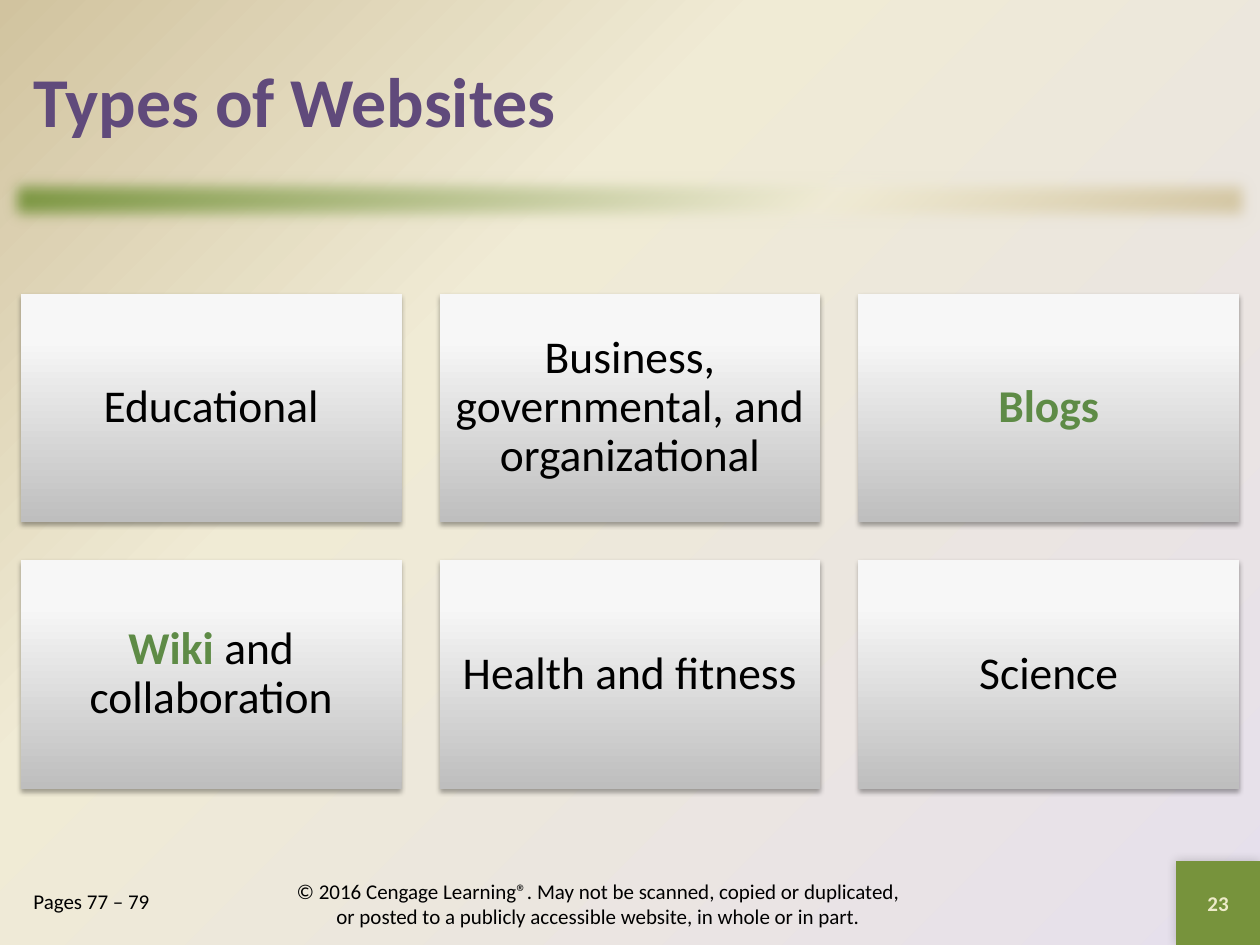
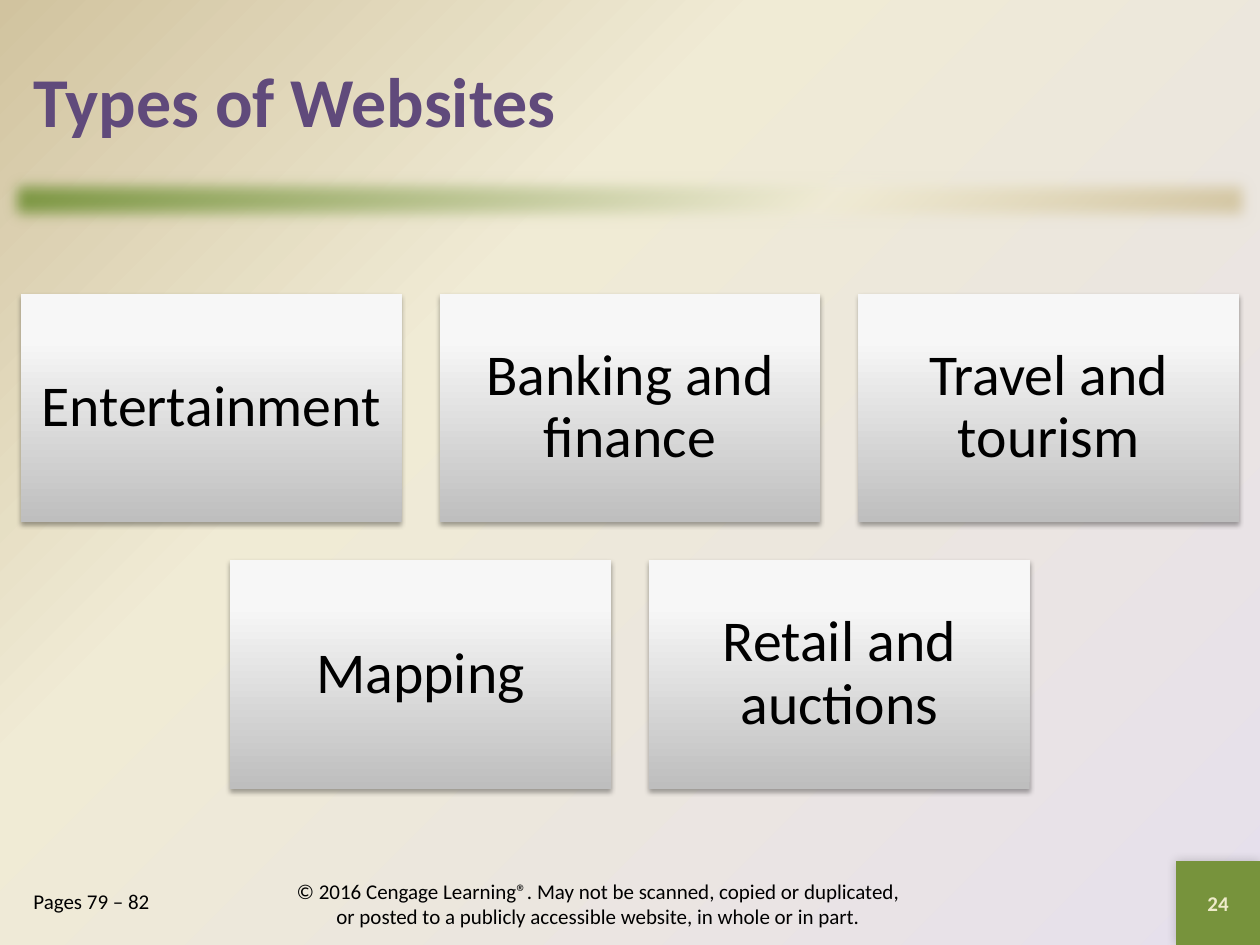
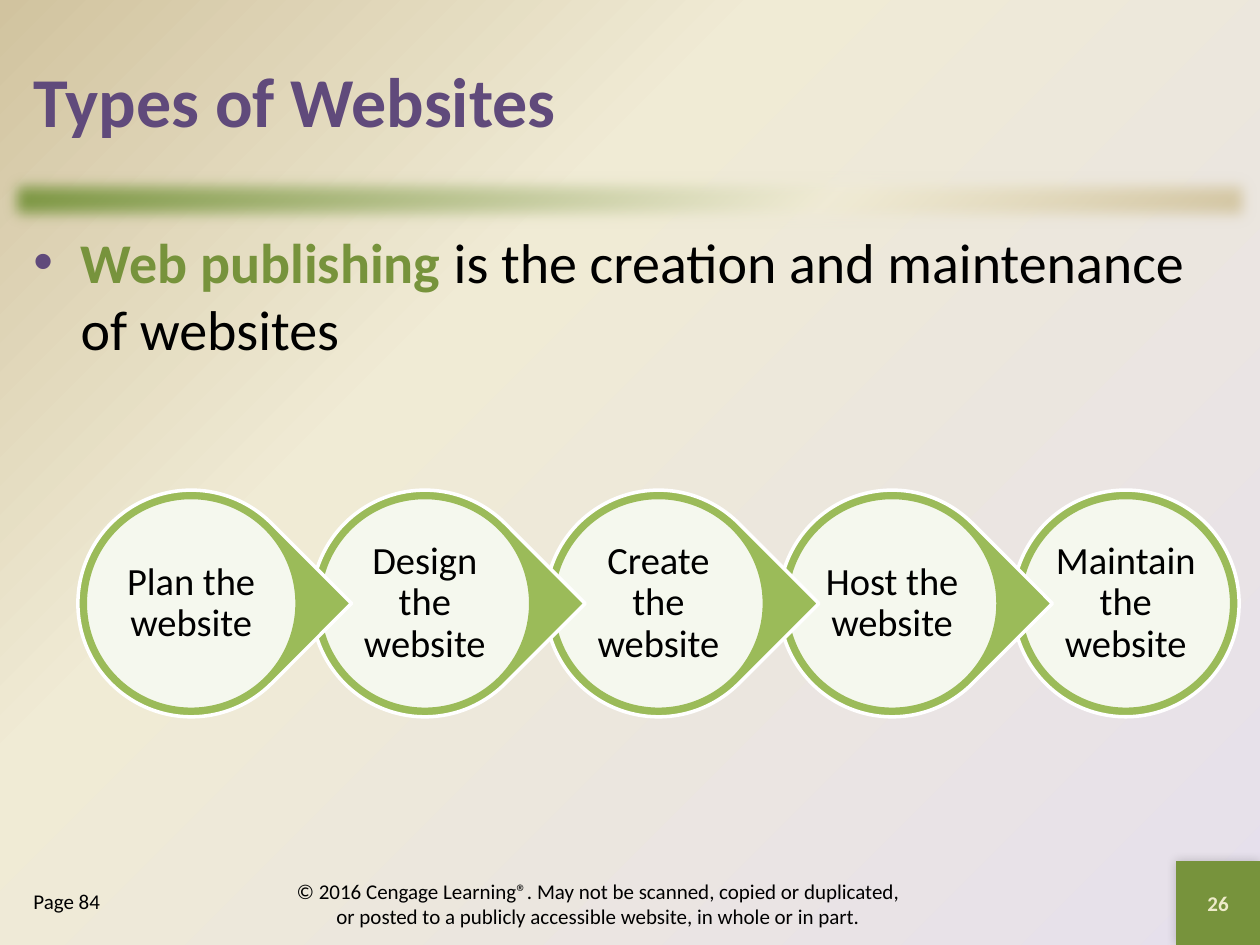
import pptx
import pptx.util
import pptx.dml.color
import pptx.enum.shapes
import pptx.enum.text
import pptx.oxml.ns
import lxml.etree

Cm = pptx.util.Cm
Pt = pptx.util.Pt
RGBColor = pptx.dml.color.RGBColor
SHAPE = pptx.enum.shapes.MSO_SHAPE
ALIGN = pptx.enum.text.PP_ALIGN
ANCHOR = pptx.enum.text.MSO_ANCHOR
qn = pptx.oxml.ns.qn

BLACK = RGBColor(0x00, 0x00, 0x00)
WHITE = RGBColor(0xFF, 0xFF, 0xFF)
PURPLE = RGBColor(0x60, 0x4A, 0x7B)
LILAC = RGBColor(0xE6, 0xE0, 0xEC)
CREAM = RGBColor(0xF0, 0xEB, 0xD5)
SAND = RGBColor(0xD1, 0xC3, 0x9F)
OLIVE = RGBColor(0x77, 0x93, 0x3C)
LEAF = RGBColor(0x5E, 0x8B, 0x46)
LIME = RGBColor(0x9B, 0xBB, 0x59)
PALE = RGBColor(0xEE, 0xEB, 0xCA)
GREY = RGBColor(0xBE, 0xBE, 0xBE)
MIST = RGBColor(0xF7, 0xF7, 0xF7)
SNOW = RGBColor(0xF8, 0xF8, 0xF8)

FONT = "Calibri"
WIDE, HIGH = 25.4, 19.05
EDGE = 0.42
SPAN = WIDE - 2 * EDGE
SIDE = 1.69
CORNER = (WIDE - SIDE, HIGH - SIDE, SIDE, SIDE)
TITLE = "Types of Websites"
RIGHTS = ("© 2016 Cengage Learning®. May not be scanned, copied or duplicated, "
          "or posted to a publicly accessible website, in whole or in part.")


def lengths(*sizes):
    return [Cm(size) for size in sizes]


def node(parent, tag, **attrs):
    item = lxml.etree.SubElement(parent, qn(tag))
    for key, value in attrs.items():
        item.set(key, str(value))
    return item


def put(frame, *runs, size=12, color=BLACK, bold=False, align=ALIGN.LEFT,
        anchor=ANCHOR.MIDDLE, inset=None, line=None):
    frame.word_wrap = True
    frame.auto_size = pptx.enum.text.MSO_AUTO_SIZE.NONE
    frame.vertical_anchor = anchor
    if inset is not None:
        frame.margin_left = frame.margin_right = Cm(inset)
        frame.margin_top = frame.margin_bottom = Cm(inset)
    para = frame.paragraphs[0]
    para.alignment = align
    para.space_before = Pt(0)
    if line:
        para.line_spacing = line
    for part in runs:
        words, tint, heavy = (part, color, bold) if isinstance(part, str) else part
        run = para.add_run()
        run.text = words
        run.font.name = FONT
        run.font.size = Pt(size)
        run.font.bold = heavy
        run.font.color.rgb = tint


def blend(fill, host, stops, angle=None):
    fill.gradient()
    grad = host.find(".//" + qn("a:gradFill"))
    for child in list(grad):
        grad.remove(child)
    group = node(grad, "a:gsLst")
    for place, color in stops:
        node(node(group, "a:gs", pos=place * 1000), "a:srgbClr", val=color)
    if angle is None:
        way = node(grad, "a:path", path="circle")
        node(way, "a:fillToRect", l=100000, t=100000)
    else:
        node(grad, "a:lin", ang=angle * 60000, scaled=0)


def effect(shape, tag, **attrs):
    group = shape.element.spPr.find(qn("a:effectLst"))
    return node(group, tag, **attrs)


def shade(shape, alpha, blur, gap, angle):
    cast = effect(shape, "a:outerShdw", blurRad=Pt(blur), dist=Pt(gap),
                  dir=angle * 60000, algn="ctr", rotWithShape=0)
    node(node(cast, "a:srgbClr", val=BLACK), "a:alpha", val=alpha * 1000)


def draw(slide, kind, box, fill=None, line=None):
    shape = slide.shapes.add_shape(kind, *lengths(*box))
    shape.shadow.inherit = False
    if fill is not None:
        shape.fill.solid()
        shape.fill.fore_color.rgb = fill
    if line is None:
        shape.line.fill.background()
    else:
        shape.line.color.rgb = line
        shape.line.width = Pt(2)
    return shape


def label(slide, box, *runs, **style):
    put(slide.shapes.add_textbox(*lengths(*box)).text_frame, *runs, **style)


def place(holder, box):
    holder.left, holder.top, holder.width, holder.height = lengths(*box)
    return holder.text_frame


def indent(frame, bullet=None):
    props = frame.paragraphs[0]._p.get_or_add_pPr()
    props.set("marL", str(Cm(0.95)))
    props.set("indent", str(-Cm(0.95)))
    if bullet is None:
        node(props, "a:buNone")
    else:
        node(node(props, "a:buClr"), "a:srgbClr", val=bullet)
        node(props, "a:buFont", typeface="Arial")
        node(props, "a:buChar", char="•")


def start(deck, layout, number, pages):
    slide = deck.slides.add_slide(deck.slide_layouts[layout])
    head = place(slide.shapes.title, (EDGE, EDGE, SPAN, 3.18))
    put(head, TITLE, size=40, color=PURPLE, bold=True)
    foot = place(list(slide.placeholders)[-1], (EDGE, 17.78, 4.65, 1.27))
    indent(foot)
    put(foot, pages, anchor=ANCHOR.TOP)
    label(slide, CORNER, number, color=PALE, bold=True, align=ALIGN.CENTER)
    label(slide, (5.5, 17.7, 13.12, 1.02), RIGHTS, align=ALIGN.CENTER)
    return slide


def tiles(slide, rows, size, inset):
    wide = SPAN / 3.2
    gap, high = wide * 0.1, wide * 0.6
    for row, names in enumerate(rows):
        count = len(names)
        left = (WIDE - count * wide - (count - 1) * gap) / 2
        top = 5.92 + row * (high + gap)
        for col, runs in enumerate(names):
            tile = draw(slide, SHAPE.RECTANGLE,
                        (left + col * (wide + gap), top, wide, high))
            blend(tile.fill, tile.element, [(0, GREY), (80, MIST), (100, SNOW)], 270)
            shade(tile, 35, 3.1, 1.8, 90)
            put(tile.text_frame, *runs, size=size, align=ALIGN.CENTER,
                inset=inset, line=0.9)


def chain(slide, steps):
    disc, rim, pitch, top = 4.57, 0.15, 4.71, 9.88
    last = len(steps) - 1
    for spot in range(last, -1, -1):
        left = 1.57 + spot * pitch
        kind = SHAPE.OVAL if spot == last else SHAPE.TEAR
        drop = draw(slide, kind, (left, top, disc, disc), LIME, WHITE)
        if spot < last:
            drop.adjustments[0] = 1
            drop.rotation = 45
        inner = disc - 2 * rim
        ring = draw(slide, SHAPE.OVAL, (left + rim, top + rim, inner, inner),
                    WHITE, LIME)
        tint = ring.element.spPr.find(qn("a:solidFill"))[0]
        node(tint, "a:alpha", val=90000)
        put(ring.text_frame, steps[spot], size=22, align=ALIGN.CENTER,
            inset=0.05, line=0.9)


def dress(deck, slide):
    master = deck.slide_master
    blend(master.background.fill, master.element,
          [(0, LILAC), (65, CREAM), (100, SAND)])
    band = draw(slide, SHAPE.RECTANGLE, (0, 3.39, WIDE, 1.27))
    blend(band.fill, band.element, [(0, OLIVE), (65, CREAM), (100, SAND)], 45)
    effect(band, "a:softEdge", rad=Pt(9))
    block = draw(slide, SHAPE.RECTANGLE, CORNER, OLIVE)
    shade(block, 20, 6, 0, 225)
    for spot, shape in enumerate((band, block), 2):
        master.shapes.element.insert(spot, shape.element)


def main():
    deck = pptx.Presentation()
    deck.slide_width, deck.slide_height = lengths(WIDE, HIGH)

    slide = start(deck, 1, "23", "Pages 77 – 79")
    tiles(slide, [
        [["Educational"], ["Business, governmental, and organizational"],
         [("Blogs", LEAF, True)]],
        [[("Wiki ", LEAF, True), "and collaboration"], ["Health and fitness"],
         ["Science"]],
    ], 26, 0.28)

    slide = start(deck, 1, "24", "Pages 79 – 82")
    tiles(slide, [
        [["Entertainment"], ["Banking and finance"], ["Travel and tourism"]],
        [["Mapping"], ["Retail and auctions"]],
    ], 33, 0.36)

    slide = start(deck, 3, "26", "Page 84")
    body = place(slide.placeholders[1], (EDGE, 4.45, SPAN, 12.91))
    indent(body, PURPLE)
    put(body, ("Web publishing ", OLIVE, True),
        "is the creation and maintenance of websites",
        size=32, anchor=ANCHOR.TOP)
    chain(slide, [f"{verb} the website" for verb in
                  ("Plan", "Design", "Create", "Host", "Maintain")])

    dress(deck, slide)
    deck.save("out.pptx")


if __name__ == "__main__":
    main()
